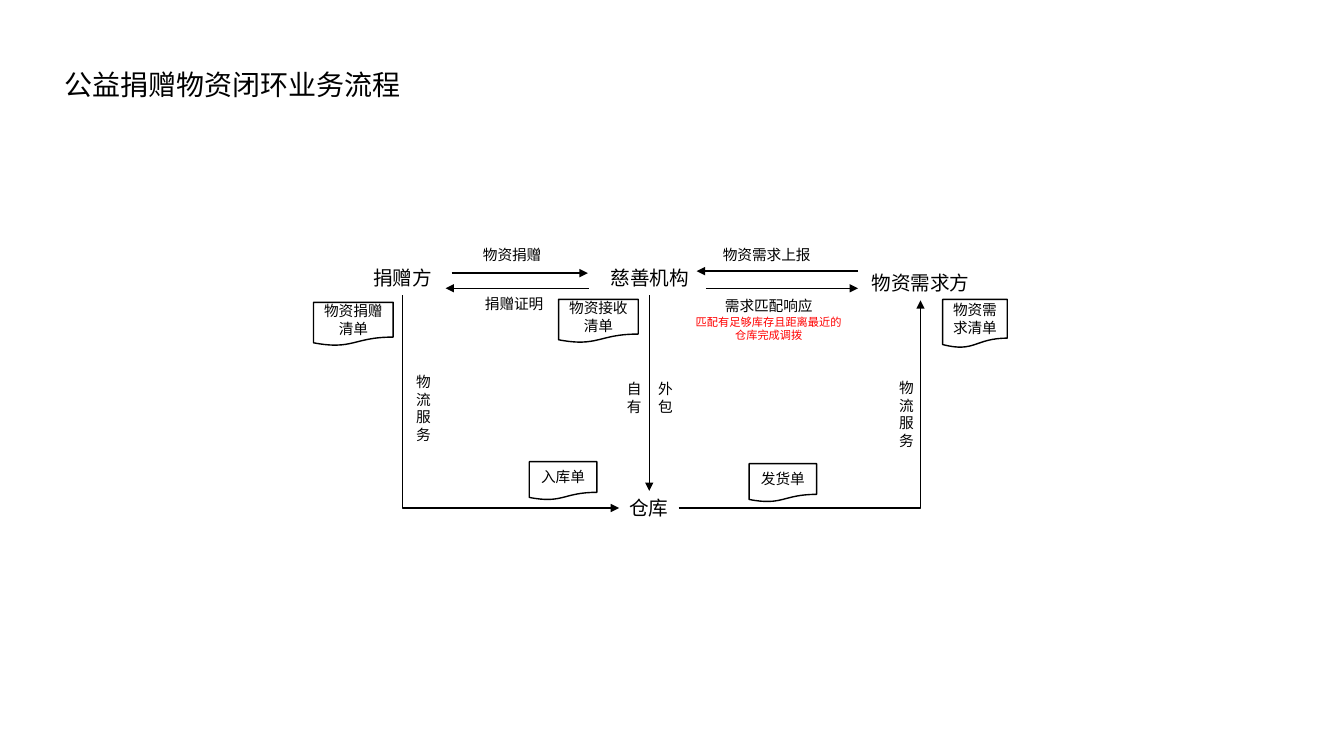
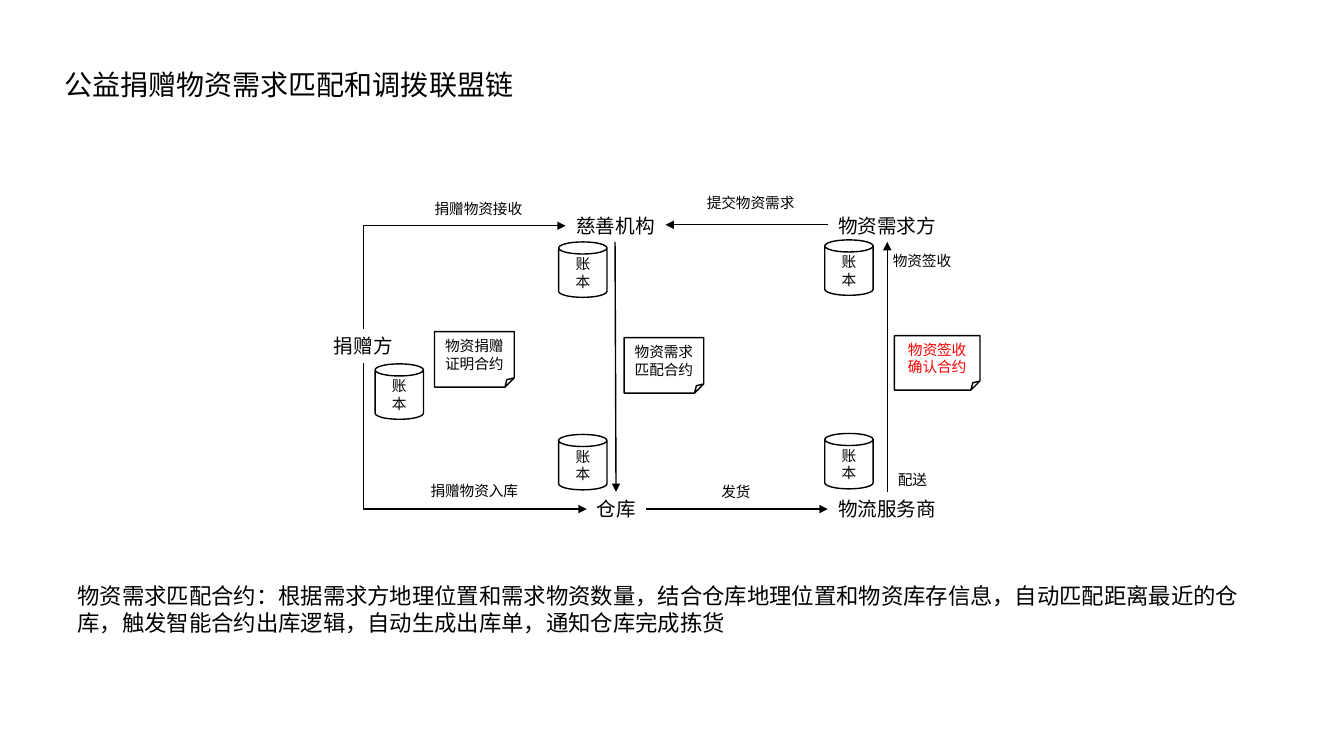
from lxml import etree
from pptx import Presentation
from pptx.dml.color import RGBColor
from pptx.enum.shapes import MSO_CONNECTOR, MSO_SHAPE
from pptx.enum.text import MSO_ANCHOR, MSO_AUTO_SIZE, PP_ALIGN
from pptx.oxml.ns import qn
from pptx.util import Inches, Pt

STRAIGHT, ELBOW = MSO_CONNECTOR.STRAIGHT, MSO_CONNECTOR.ELBOW
DOCUMENT, CAN, NOTE = MSO_SHAPE.FLOWCHART_DOCUMENT, MSO_SHAPE.CAN, MSO_SHAPE.FOLDED_CORNER
MIDDLE, TOP_ANCHOR = MSO_ANCHOR.MIDDLE, MSO_ANCHOR.TOP
CENTER, LEFT_ALIGN = PP_ALIGN.CENTER, PP_ALIGN.LEFT
FIT = MSO_AUTO_SIZE.SHAPE_TO_FIT_TEXT
TOP, LEFT, BOTTOM, RIGHT = range(4)  # connection sites
FONT, BLACK, RED = "Noto Sans CJK SC", "000000", "FF0000"
TITLE, BODY, NODE, LABEL, SMALL = 20, 16, 14, 10.5, 8


def rgb(value):
    return RGBColor.from_string(value)


def write(sp, lines, align=CENTER, anchor=TOP_ANCHOR, wrap=True):
    """Fill a shape with paragraphs given as (text, size, colour)."""
    tf = sp.text_frame
    for name, value in {"word_wrap": wrap, "vertical_anchor": anchor}.items():
        setattr(tf, name, value)
    for i, (text, size, color) in enumerate(lines):
        p = tf.paragraphs[0] if i == 0 else tf.add_paragraph()
        p.alignment = align
        r = p.add_run()
        r.text = text
        for name, value in {"size": Pt(size), "name": FONT}.items():
            setattr(r.font, name, value)
        r.font.color.rgb = rgb(color)
        etree.SubElement(r.font._element, qn("a:ea")).set("typeface", FONT)


slides = [
    {
        "title": "公益捐赠物资闭环业务流程",
        "nodes": {
            "捐赠方": (3.6, 2.59, 0.79), "慈善机构": (5.95, 2.59, 0.99),
            "物资需求方": (8.54, 2.64, 1.18), "仓库": (6.14, 4.87, 0.59),
        },
        "labels": [
            ("物资捐赠", 4.67, 2.39, 0.82), ("物资需求上报", 7.04, 2.39, 1.13),
            ("捐赠证明", 4.69, 2.88, 0.82),
        ],
        # text, left, top, width, height
        "wrapped": [
            ([("物流服务", LABEL, BLACK)], 4, 3.65, 0.4, 0.81, CENTER),
            ([("自有", LABEL, BLACK)], 6.09, 3.72, 0.4, 0.47, CENTER),
            ([("外包", LABEL, BLACK)], 6.4, 3.72, 0.4, 0.47, CENTER),
            ([("物流服务", LABEL, BLACK)], 8.79, 3.71, 0.4, 0.81, CENTER),
            ([("需求匹配响应", LABEL, BLACK),
              ("匹配有足够库存且距离最近的仓库完成调拨", SMALL, RED)], 6.77, 2.9, 1.71, 0.55, CENTER),
        ],
        "shapes": [
            (DOCUMENT, ["物资捐赠清单"], 3.11, 3, 0.79, 0.43, BLACK),
            (DOCUMENT, ["入库单"], 5.25, 4.58, 0.67, 0.38, BLACK),
            (DOCUMENT, ["物资接收清单"], 5.54, 2.97, 0.79, 0.43, BLACK),
            (DOCUMENT, ["发货单"], 7.43, 4.6, 0.67, 0.38, BLACK),
            (DOCUMENT, ["物资需求清单"], 9.35, 2.97, 0.64, 0.48, BLACK),
        ],
        "arrows": [
            (4.48, 2.71, 5.83, 2.71), (5.84, 2.86, 4.42, 2.86), (8.51, 2.69, 6.91, 2.69),
            (7, 2.86, 8.51, 2.86), (6.44, 2.93, 6.44, 4.87),
        ],
        # start node and site, end node and site, rotation, flips
        "elbows": [
            ("捐赠方", BOTTOM, "仓库", LEFT, 270, ["flipH"]),
            ("仓库", RIGHT, "物资需求方", BOTTOM, 0, ["flipV"]),
        ],
    },
    {
        "title": "公益捐赠物资需求匹配和调拨联盟链",
        "nodes": {
            "捐赠方": (3.21, 3.26, 0.79), "慈善机构": (5.61, 2.07, 0.99),
            "物资需求方": (8.21, 2.07, 1.18), "仓库": (5.82, 4.88, 0.59),
            "物流服务商": (8.21, 4.88, 1.18),
        },
        "labels": [
            ("提交物资需求", 6.9, 1.87, 1.09), ("捐赠物资接收", 4.2, 1.93, 1.09),
            ("捐赠物资入库", 4.16, 4.73, 1.09), ("发货", 7.05, 4.74, 0.5),
            ("配送", 8.8, 4.62, 0.5), ("物资签收", 8.75, 2.45, 0.79),
        ],
        "wrapped": [
            ([("物资需求匹配合约：根据需求方地理位置和需求物资数量，结合仓库地理位置和物资库存信息，"
               "自动匹配距离最近的仓库，触发智能合约出库逻辑，自动生成出库单，通知仓库完成拣货",
               BODY, BLACK)], 0.67, 5.73, 11.82, 0.64, LEFT_ALIGN),
        ],
        "shapes": [
            (NOTE, ["物资捐赠证明合约"], 4.31, 3.29, 0.79, 0.55, BLACK),
            (NOTE, ["物资需求", "匹配合约"], 6.19, 3.35, 0.79, 0.55, BLACK),
            (NOTE, ["物资签收确认合约"], 8.87, 3.33, 0.85, 0.54, RED),
        ] + [
            (CAN, ["账本"], x, y, 0.48, 0.55, BLACK)
            for x, y in [(3.72, 3.61), (5.54, 2.4), (5.54, 4.31), (8.18, 2.38), (8.18, 4.3)]
        ],
        "arrows": [
            (8.21, 2.23, 6.6, 2.23), (6.1, 2.4, 6.11, 4.88),
            (6.41, 5.05, 8.21, 5.05), (8.8, 4.88, 8.8, 2.4),
        ],
        "elbows": [
            ("捐赠方", TOP, "慈善机构", LEFT, 90, ["flipH", "flipV"]),
            ("捐赠方", BOTTOM, "仓库", LEFT, 270, ["flipH"]),
        ],
    },
]

prs = Presentation()
prs.slide_width, prs.slide_height = Inches(13.33), Inches(7.5)

for data in slides:
    slide = prs.slides.add_slide(prs.slide_layouts[6])

    # Text boxes: title, wrapped notes, one-line nodes and labels
    title = ([(data["title"], TITLE, BLACK)], 0.54, 0.62, 6.39, 0.44, LEFT_ALIGN)
    texts = [(*row, True) for row in [title] + data["wrapped"]]
    texts += [([(text, NODE, BLACK)], x, y, w, 0.34, CENTER, False)
              for text, (x, y, w) in data["nodes"].items()]
    texts += [([(text, LABEL, BLACK)], x, y, w, 0.28, CENTER, False)
              for text, x, y, w in data["labels"]]
    boxes = {}
    for lines, x, y, w, h, align, wrap in texts:
        sp = slide.shapes.add_textbox(Inches(x), Inches(y), Inches(w), Inches(h))
        write(sp, lines, align, wrap=wrap)
        sp.text_frame.auto_size = FIT
        boxes[lines[0][0]] = sp

    # Documents, contracts and ledgers
    for kind, lines, x, y, w, h, color in data["shapes"]:
        sp = slide.shapes.add_shape(kind, Inches(x), Inches(y), Inches(w), Inches(h))
        sp.shadow.inherit = False
        sp.fill.background()
        sp.line.color.rgb = rgb(BLACK)
        sp.line.width = Pt(1)
        write(sp, [(text, LABEL, color) for text in lines], anchor=MIDDLE)

    # Straight arrows
    arrows = [slide.shapes.add_connector(STRAIGHT, *map(Inches, ends)) for ends in data["arrows"]]

    # One-bend arrows glued to their nodes
    for start, start_site, end, end_site, rot, flips in data["elbows"]:
        cx = slide.shapes.add_connector(ELBOW, 0, 0, 0, 0)
        cx.begin_connect(boxes[start], start_site)
        cx.end_connect(boxes[end], end_site)
        mid_x, mid_y = (cx.begin_x + cx.end_x) // 2, (cx.begin_y + cx.end_y) // 2
        w, h = abs(cx.end_x - cx.begin_x), abs(cx.end_y - cx.begin_y)
        if rot:
            w, h = h, w
        frame = {"left": mid_x - w // 2, "top": mid_y - h // 2, "width": w, "height": h}
        for name, value in frame.items():
            setattr(cx, name, value)
        xfrm = cx._element.spPr.find(qn("a:xfrm"))
        for name in ("flipH", "flipV"):
            xfrm.set(name, "1" if name in flips else "0")
        xfrm.set("rot", str(rot * 60000))
        cx._element.spPr.find(qn("a:prstGeom")).set("prst", "bentConnector2")
        arrows.append(cx)

    # Shared arrow style
    for cx in arrows:
        cx.line.color.rgb = rgb(BLACK)
        cx.line.width = Pt(1)
        etree.SubElement(cx.line._get_or_add_ln(), qn("a:tailEnd")).set("type", "triangle")
        etree.SubElement(cx._element.spPr, qn("a:effectLst"))

prs.save("out.pptx")
